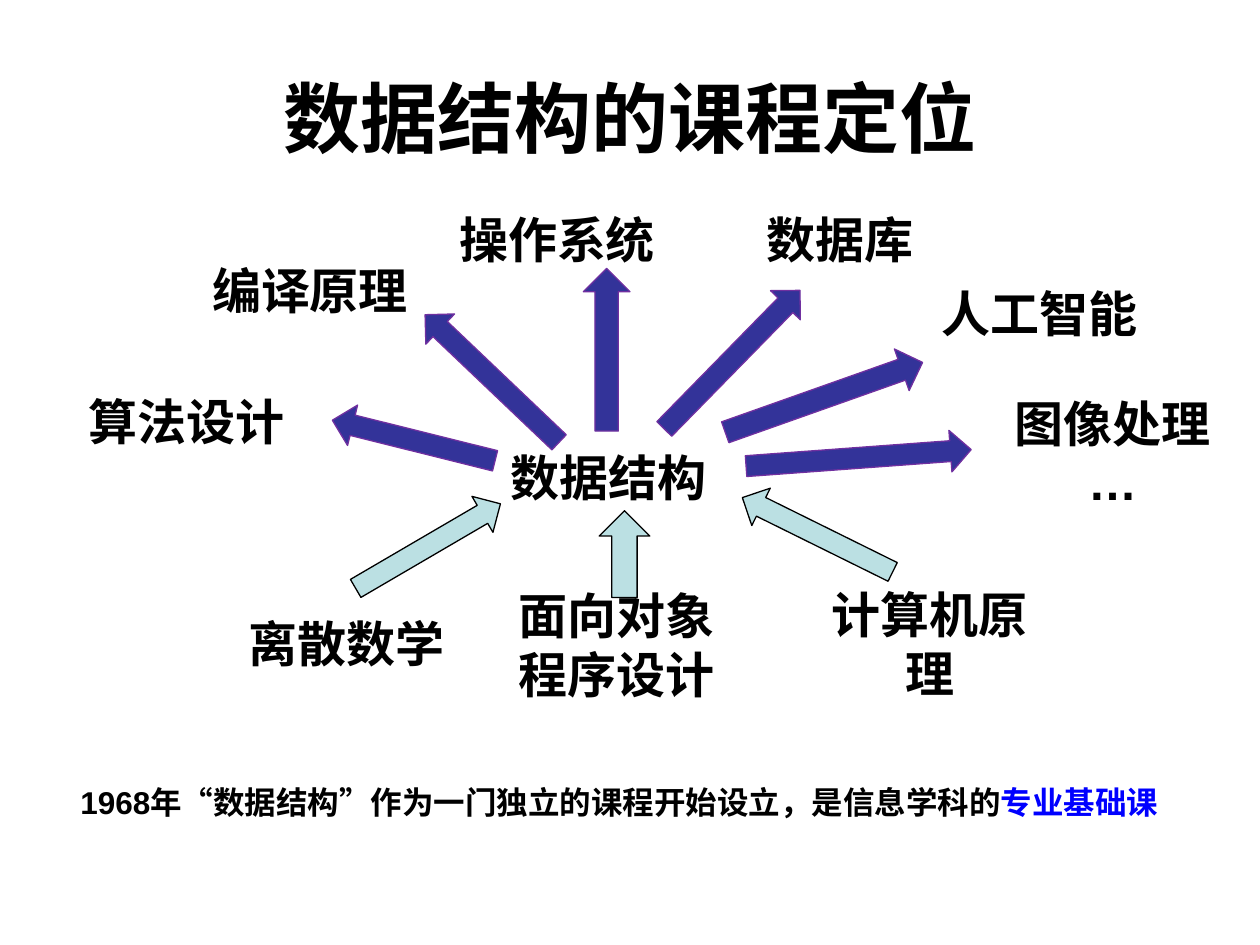
from pptx import Presentation
from pptx.dml.color import RGBColor
from pptx.enum.shapes import MSO_SHAPE
from pptx.enum.text import MSO_ANCHOR, MSO_AUTO_SIZE, PP_ALIGN
from pptx.util import Cm, Pt

ARROW = MSO_SHAPE.RIGHT_ARROW
MIDDLE = MSO_ANCHOR.MIDDLE
GROW = MSO_AUTO_SIZE.SHAPE_TO_FIT_TEXT
CENTER = PP_ALIGN.CENTER
LEFT = PP_ALIGN.LEFT

SANS = "Arial"
SERIF = "Times New Roman"
BLACK = "000000"
BLUE = "0000FF"

FAN = (1.22, 4.09)
BASE = (4.45, 10.36)

TOPICS = [
    (8.51, 4.8, 5.08, ["数据结构"]),
    (0, 3.68, 5.08, ["算法设计"]),
    (2.49, 1.04, 5.08, ["编译原理"]),
    (7.47, 0, 5.08, ["操作系统"]),
    (13.18, 0, 5.08, ["数据库"]),
    (17.2, 1.5, 5.08, ["人工智能"]),
    (18.67, 3.71, 5.08, ["图像处理", "…"]),
]
RAYS = [
    (7.12, 4.79, 3.38, 0.84, 194),
    (8.7, 3.54, 3.73, 0.84, 223.6),
    (16.09, 5.14, 4.55, 0.84, 355.8),
    (11.01, 2.96, 3.28, 0.94, 270),
    (13.54, 3.16, 3.91, 0.84, 314.4),
    (15.39, 3.92, 4.22, 0.89, 340.5),
]
ROOTS = [
    (0, 1.88, 5.08, ["离散数学"]),
    (5.44, 1.32, 5.08, ["面向对象程序设计"]),
    (12.07, 1.3, 4.45, ["计算机原理"]),
]
FEEDS = [
    (4.18, 0.65, 3.38, 0.84, 329.7),
    (8.14, 0.81, 1.75, 1.02, 270),
    (12.03, 0.42, 3.38, 0.84, 206.3),
]
NOTE = [
    ("1968年", SANS, BLACK),
    ("“", SERIF, BLACK),
    ("数据结构", SANS, BLACK),
    ("”", SERIF, BLACK),
    ("作为一门独立的课程开始设立，是信息学科的", SANS, BLACK),
    ("专业基础课", SANS, BLUE),
]


def color(code):
    return RGBColor.from_string(code)


def add_run(para, text, size, face=SANS, ink=BLACK):
    run = para.add_run()
    run.text = text
    run.font.size = Pt(size)
    run.font.name = face
    run.font.bold = True
    run.font.color.rgb = color(ink)


def add_text(slide, left, top, width, height, lines, size, align):
    box = slide.shapes.add_textbox(Cm(left), Cm(top), Cm(width), Cm(height))
    frame = box.text_frame
    frame.word_wrap = True
    frame.auto_size = GROW
    for i, runs in enumerate(lines):
        para = frame.add_paragraph() if i else frame.paragraphs[0]
        para.alignment = align
        for run in runs:
            add_run(para, run[0], size, *run[1:])


def add_arrow(slide, mid_x, mid_y, length, thick, angle, fill, edge):
    arrow = slide.shapes.add_shape(
        ARROW, Cm(mid_x - length / 2), Cm(mid_y - thick / 2), Cm(length), Cm(thick)
    )
    arrow.rotation = angle
    arrow.shadow.inherit = False
    arrow.fill.solid()
    arrow.fill.fore_color.rgb = color(fill)
    arrow.line.color.rgb = color(edge)
    arrow.line.width = Pt(0.75)


def add_title(slide, left, top, width, height):
    title = slide.shapes.title
    title.left, title.top = Cm(left), Cm(top)
    title.width, title.height = Cm(width), Cm(height)
    frame = title.text_frame
    frame.vertical_anchor = MIDDLE
    para = frame.paragraphs[0]
    para.alignment = CENTER
    add_run(para, "数据结构的课程定位", 44)


def add_region(slide, box, labels, arrows, fill, edge):
    left, top = box
    for x, y, width, words in labels:
        lines = [[(word,)] for word in words]
        high = 1.45 if len("".join(words)) <= 4 else 2.64
        add_text(slide, left + x, top + y, width, high, lines, 28, CENTER)
    for x, y, length, thick, angle in arrows:
        add_arrow(slide, left + x, top + y, length, thick, angle, fill, edge)


def main():
    deck = Presentation()
    deck.slide_width, deck.slide_height = Cm(25.4), Cm(19.05)
    slide = deck.slides.add_slide(deck.slide_layouts[5])
    add_title(slide, 1.27, 0.76, 22.86, 3.18)
    add_region(slide, FAN, TOPICS, RAYS, "333399", "7030A0")
    add_region(slide, BASE, ROOTS, FEEDS, "BBE0E3", BLACK)
    add_text(slide, 1.37, 15.67, 22.4, 1.02, [NOTE], 18, LEFT)
    deck.save("out.pptx")


if __name__ == "__main__":
    main()
